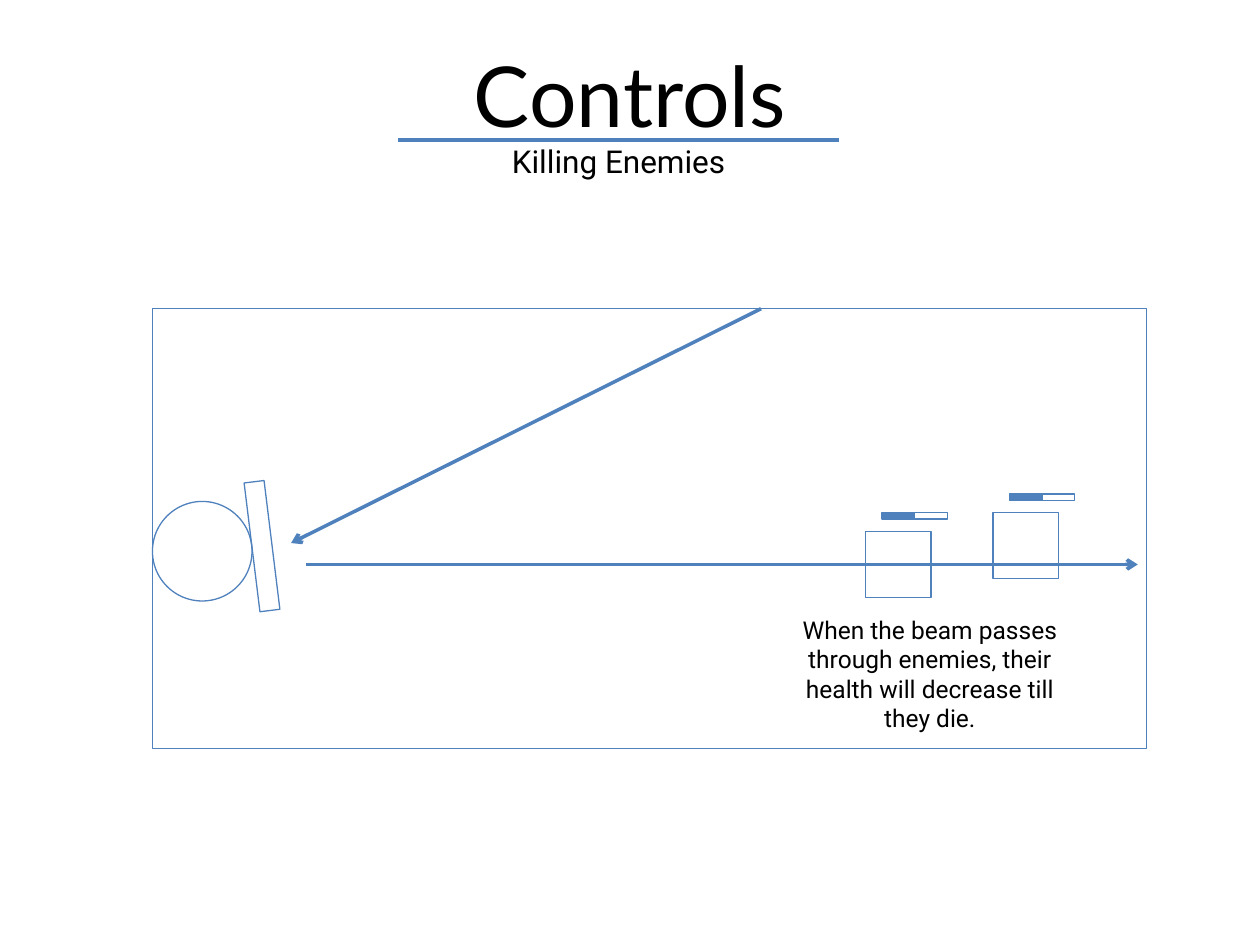
from lxml import etree
from pptx import Presentation
from pptx.dml.color import RGBColor
from pptx.enum.shapes import MSO_CONNECTOR, MSO_SHAPE
from pptx.enum.text import MSO_AUTO_SIZE, PP_ALIGN
from pptx.oxml.ns import qn
from pptx.util import Inches, Pt

RECTANGLE = MSO_SHAPE.RECTANGLE
OVAL = MSO_SHAPE.OVAL
STRAIGHT = MSO_CONNECTOR.STRAIGHT
CENTER = PP_ALIGN.CENTER
FIT_SHAPE = MSO_AUTO_SIZE.SHAPE_TO_FIT_TEXT

BLUE = RGBColor(0x4F, 0x81, 0xBD)
BLACK = RGBColor(0, 0, 0)

ENEMY_SIZE = 0.52
HEALTH_WIDTH = 0.26
HEALTH_HEIGHT = 0.05
ENEMIES = [(6.87, 4.22), (7.88, 4.07)]


def add_outline(shapes, kind, left, top, width, height, filled=False, rotation=0):
    shape = shapes.add_shape(
        kind, Inches(left), Inches(top), Inches(width), Inches(height)
    )
    shape.shadow.inherit = False
    shape.rotation = rotation
    if filled:
        shape.fill.solid()
        shape.fill.fore_color.rgb = BLUE
    else:
        shape.fill.background()
    shape.line.color.rgb = BLUE
    shape.line.width = Pt(0.75)


def add_line(slide, start, end, arrow=False):
    connector = slide.shapes.add_connector(
        STRAIGHT, *(Inches(value) for value in start + end)
    )
    connector.line.color.rgb = BLUE
    connector.line.width = Pt(2)
    if arrow:
        outline = connector.line._get_or_add_ln()
        etree.SubElement(outline, qn("a:tailEnd"), type="arrow")
    etree.SubElement(connector._element.spPr, qn("a:effectLst"))


def add_text(slide, text, left, top, width, height, font_name, size):
    box = slide.shapes.add_textbox(
        Inches(left), Inches(top), Inches(width), Inches(height)
    )
    frame = box.text_frame
    frame.word_wrap = True
    frame.auto_size = FIT_SHAPE
    paragraph = frame.paragraphs[0]
    paragraph.text = text
    paragraph.alignment = CENTER
    paragraph.font.name = font_name
    paragraph.font.size = Pt(size)
    paragraph.font.color.rgb = BLACK


def add_enemy(slide, left, top):
    add_outline(slide.shapes, RECTANGLE, left, top, ENEMY_SIZE, ENEMY_SIZE)
    health_bar = slide.shapes.add_group_shape()
    for index, filled in enumerate((True, False)):
        add_outline(
            health_bar.shapes, RECTANGLE,
            left + 0.13 + index * HEALTH_WIDTH, top - 0.15,
            HEALTH_WIDTH, HEALTH_HEIGHT, filled,
        )


def main():
    presentation = Presentation()
    presentation.slide_width = Inches(10)
    presentation.slide_height = Inches(7.5)
    slide = presentation.slides.add_slide(presentation.slide_layouts[6])

    add_outline(slide.shapes, RECTANGLE, 1.21, 2.45, 7.89, 3.49)
    add_outline(slide.shapes, OVAL, 1.21, 3.98, 0.79, 0.79)
    add_outline(slide.shapes, RECTANGLE, 2, 3.82, 0.16, 1.03, rotation=353)
    add_line(slide, (6.04, 2.45), (2.31, 4.31), arrow=True)
    add_line(slide, (2.43, 4.48), (9.03, 4.48), arrow=True)

    add_text(slide, "Controls", 0, 0.3, 10, 0.91, "Lato", 48)
    add_text(slide, "Killing Enemies", 3.16, 1.08, 3.5, 0.4, "Roboto", 18)
    add_line(slide, (3.16, 1.11), (6.66, 1.11))

    for left, top in ENEMIES:
        add_enemy(slide, left, top)
    add_text(
        slide,
        "When the beam passes through enemies, their health will decrease till they die.",
        6.19, 4.83, 2.38, 1.04, "Roboto", 14,
    )

    presentation.save("out.pptx")


if __name__ == "__main__":
    main()
